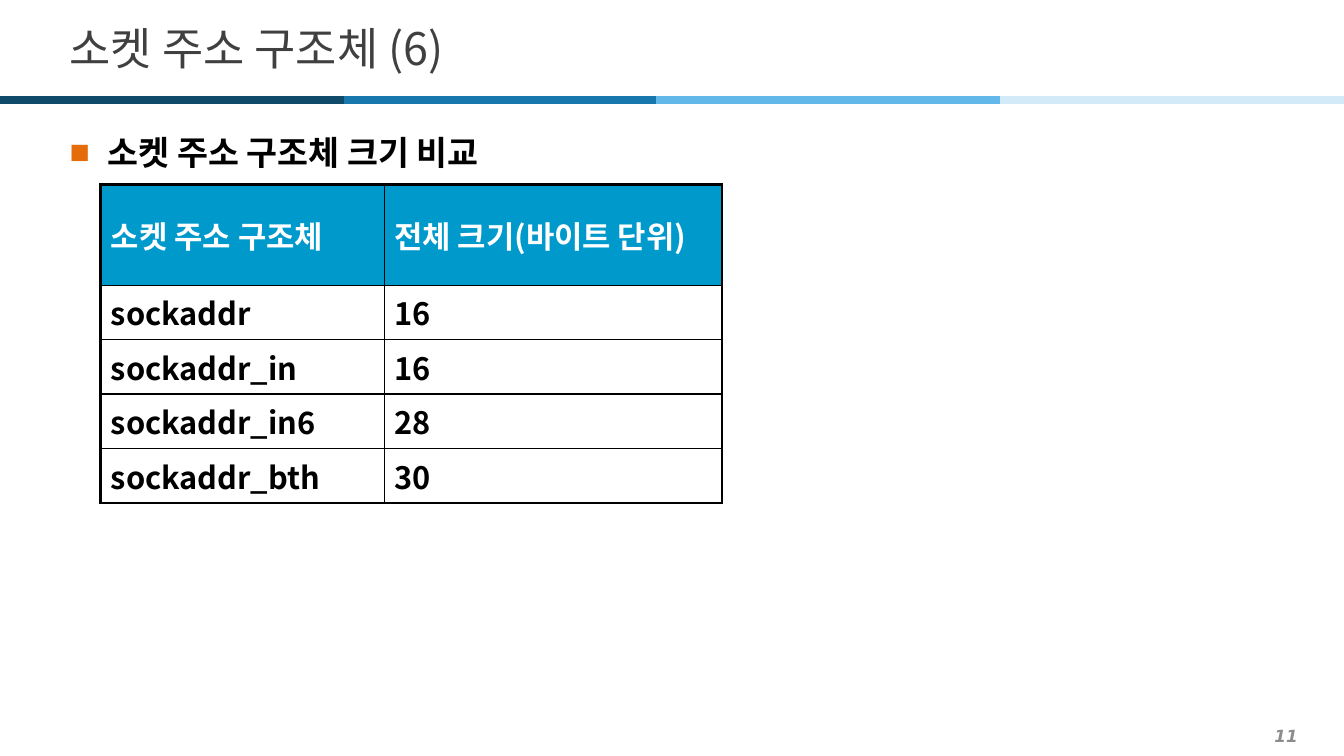
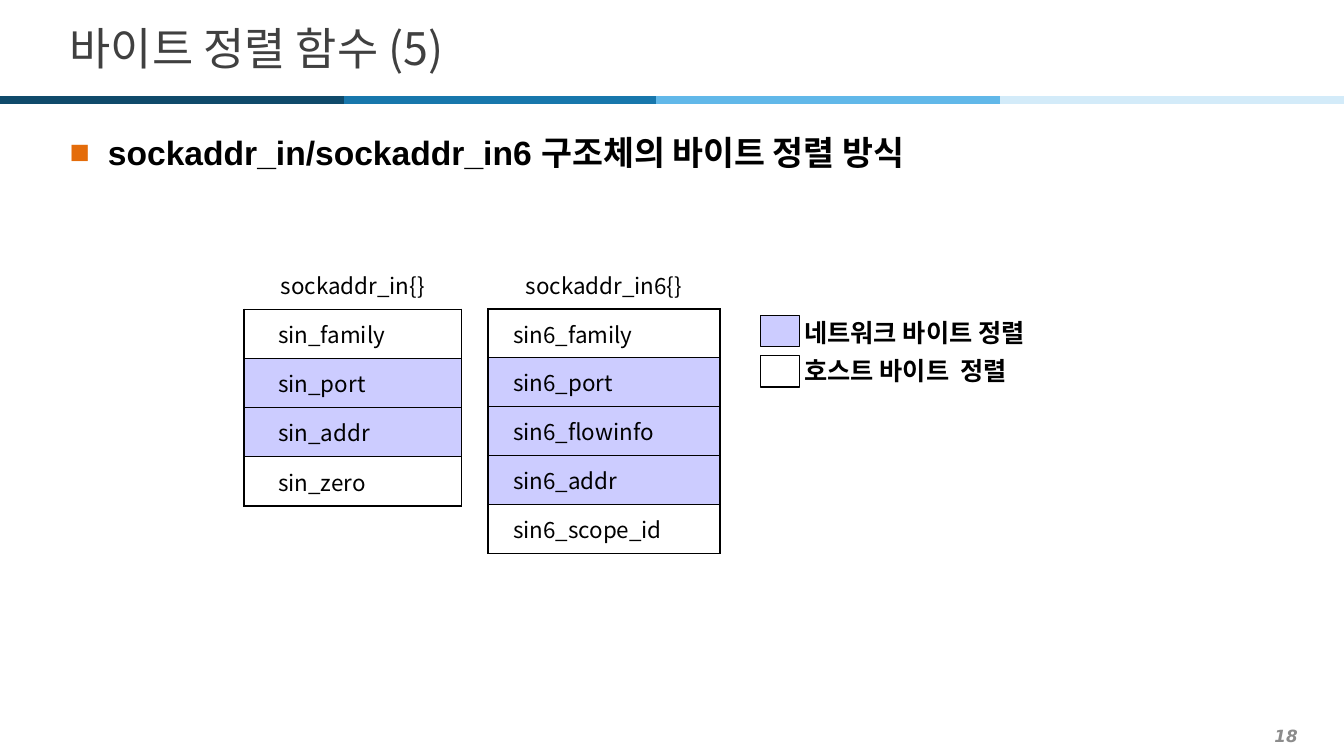
import pptx
import pptx.dml.color
import pptx.enum.shapes
import pptx.enum.text
import pptx.util
from lxml import etree
from pptx.oxml.ns import qn

Inches = pptx.util.Inches
Pt = pptx.util.Pt
RGBColor = pptx.dml.color.RGBColor
ALIGN = pptx.enum.text.PP_ALIGN
MIDDLE = pptx.enum.text.MSO_ANCHOR.MIDDLE

# Shared look
BLACK = RGBColor(0x00, 0x00, 0x00)
WHITE = RGBColor(0xFF, 0xFF, 0xFF)
TITLE_GREY = RGBColor(0x40, 0x40, 0x40)
NUMBER_GREY = RGBColor(0x8C, 0x8C, 0x8C)
BULLET_ORANGE = RGBColor(0xE4, 0x6C, 0x0A)
HEADER_BLUE = RGBColor(0x00, 0x99, 0xCC)
NETWORK_LILAC = RGBColor(0xCC, 0xCC, 0xFF)
BAND_COLORS = (
    RGBColor(0x0F, 0x4A, 0x6B),
    RGBColor(0x18, 0x77, 0xAC),
    RGBColor(0x61, 0xB8, 0xE9),
    RGBColor(0xD3, 0xEB, 0xF9),
)
BAND_EDGES = (0, 3.41, 6.51, 9.92, 13.33)
BAND_TOP = 0.99
KOREAN = "Noto Sans CJK KR"

TITLE_FORMAT = {"size": Pt(32), "name": KOREAN, "bold": False}
BODY_FORMAT = {"size": Pt(24), "name": "Arial", "bold": True}
NUMBER_FORMAT = {"size": Pt(12), "name": "DejaVu Sans", "bold": True, "italic": True}
SIZE_FORMAT = {"size": Pt(22), "name": KOREAN, "bold": True}
FIELD_FORMAT = {"size": Pt(16), "name": KOREAN, "bold": False}
LEGEND_FORMAT = {"size": Pt(18), "name": KOREAN, "bold": True}


def place(item, left, top, width, height):
    bounds = {"left": left, "top": top, "width": width, "height": height}
    for name, value in bounds.items():
        setattr(item, name, Inches(value))


def write(para, text, font_format, color, **para_format):
    """Put one formatted run into a paragraph."""
    for name, value in para_format.items():
        setattr(para, name, value)
    span = para.add_run()
    span.text = text
    for name, value in font_format.items():
        setattr(span.font, name, value)
    span.font.color.rgb = color
    east_asian = etree.Element(qn("a:ea"), typeface=KOREAN)
    span.font._element.find(qn("a:latin")).addnext(east_asian)


def add_text(page, bounds, lines, font_format, color, **para_format):
    box = page.shapes.add_textbox(*map(Inches, bounds))
    frame = box.text_frame
    frame.word_wrap = True
    frame.vertical_anchor = MIDDLE
    for index, line in enumerate(lines):
        para = frame.add_paragraph() if index else frame.paragraphs[0]
        write(para, line, font_format, color, **para_format)


def set_bullet(para):
    """Hang an orange square in front of the paragraph."""
    properties = para._p.get_or_add_pPr()
    indent = Inches(0.38)
    properties.set("marL", str(indent))
    properties.set("indent", str(-indent))
    bullet_color = etree.SubElement(properties, qn("a:buClr"))
    etree.SubElement(bullet_color, qn("a:srgbClr"), val=str(BULLET_ORANGE))
    etree.SubElement(properties, qn("a:buFont"), typeface="Arial")
    etree.SubElement(properties, qn("a:buChar"), char="■")


def add_band(page):
    for color, start, end in zip(BAND_COLORS, BAND_EDGES, BAND_EDGES[1:]):
        line = page.shapes.add_connector(
            pptx.enum.shapes.MSO_CONNECTOR.STRAIGHT,
            Inches(start), Inches(BAND_TOP), Inches(end), Inches(BAND_TOP))
        line.line.color.rgb = color
        line.line.width = Pt(6)
        etree.SubElement(line._element.spPr, qn("a:effectLst"))


def add_page(deck, title, heading, number):
    """Start a page with number, band, title and one bulleted heading."""
    page = deck.slides.add_slide(deck.slide_layouts[1])
    title_box, body_box = page.placeholders
    place(title_box, 0.59, 0.13, 12.21, 0.68)
    place(body_box, 0.59, 1.18, 12.21, 6.03)
    for box in (title_box, body_box):
        box.text_frame.auto_size = pptx.enum.text.MSO_AUTO_SIZE.NONE
    title_box.text_frame.vertical_anchor = MIDDLE
    write(title_box.text_frame.paragraphs[0], title, TITLE_FORMAT, TITLE_GREY,
          alignment=ALIGN.LEFT)
    para = body_box.text_frame.paragraphs[0]
    write(para, heading, BODY_FORMAT, BLACK,
          line_spacing=1.2, space_before=Pt(0), space_after=Pt(2))
    set_bullet(para)
    add_band(page)
    add_text(page, (0.2, 7.14, 12.77, 0.31), [number], NUMBER_FORMAT,
             NUMBER_GREY, alignment=ALIGN.RIGHT)
    return page


def set_borders(cell, left, right, top, bottom):
    """Draw the cell's edges with widths in points; 0 hides an edge."""
    properties = cell._tc.get_or_add_tcPr()
    widths = {"a:lnL": left, "a:lnR": right, "a:lnT": top, "a:lnB": bottom}
    for tag, width in widths.items():
        edge = etree.SubElement(properties, qn(tag), w=str(Pt(width)))
        if width:
            fill = etree.SubElement(edge, qn("a:solidFill"))
            etree.SubElement(fill, qn("a:srgbClr"), val=str(BLACK))
        else:
            etree.SubElement(edge, qn("a:noFill"))


def add_table(page, left, top, widths, heights):
    table = page.shapes.add_table(
        len(heights), len(widths), Inches(left), Inches(top),
        Inches(sum(widths)), Inches(sum(heights))).table
    table.first_row = table.horz_banding = False
    for column, width in zip(table.columns, widths):
        column.width = Inches(width)
    for row, height in zip(table.rows, heights):
        row.height = Inches(height)
    return table


def fill_cell(cell, text, font_format, color, fill, borders, **para_format):
    set_borders(cell, *borders)
    if fill is None:
        cell.fill.background()
    else:
        cell.fill.solid()
        cell.fill.fore_color.rgb = fill
    cell.vertical_anchor = MIDDLE
    write(cell.text_frame.paragraphs[0], text, font_format, color, **para_format)


def add_size_table(page, rows):
    """Table with a two-line blue header row and a thick outer frame."""
    thin, thick = 1, 2.25
    last_row, last_column = len(rows) - 1, len(rows[0]) - 1
    table = add_table(page, 1, 1.83, (2.81, 3.35), [1] + [0.54] * last_row)
    for r, row in enumerate(rows):
        for c, text in enumerate(row):
            outer = (c == 0, c == last_column, r == 0, r == last_row)
            borders = [thick if edge else thin for edge in outer]
            color, fill = (BLACK, None) if r else (WHITE, HEADER_BLUE)
            fill_cell(table.cell(r, c), text, SIZE_FORMAT, color, fill, borders)


def add_struct(page, left, width, height, indent, name, fields):
    """Struct name above a stack of fields; True marks network byte order."""
    row_count = len(fields) + 1
    table = add_table(page, left, 2.58, [width], [height / row_count] * row_count)
    fill_cell(table.cell(0, 0), name, FIELD_FORMAT, BLACK, None, (0, 0, 0, 1),
              alignment=ALIGN.CENTER)
    for r, (field, is_network) in enumerate(fields, 1):
        cell = table.cell(r, 0)
        fill_cell(cell, field, FIELD_FORMAT, BLACK,
                  NETWORK_LILAC if is_network else None, (1, 1, 1, 1))
        cell.margin_left = Inches(indent)


def add_legend(page, entries):
    add_text(page, (7.88, 3.06, 2.57, 0.78), [text for text, _ in entries],
             LEGEND_FORMAT, BLACK, line_spacing=1.25)
    for index, (_, fill) in enumerate(entries):
        swatch = page.shapes.add_shape(
            pptx.enum.shapes.MSO_SHAPE.RECTANGLE,
            Inches(7.54), Inches(3.13 + 0.4 * index), Inches(0.39), Inches(0.31))
        swatch.shadow.inherit = False
        swatch.line.color.rgb = BLACK
        swatch.line.width = Pt(0.75)
        if fill is None:
            swatch.fill.background()
        else:
            swatch.fill.solid()
            swatch.fill.fore_color.rgb = fill


def main():
    deck = pptx.Presentation()
    deck.slide_width, deck.slide_height = Inches(13.33), Inches(7.5)

    # Sizes of the address structures
    page = add_page(deck, "소켓 주소 구조체 (6)", "소켓 주소 구조체 크기 비교", "11")
    add_size_table(page, [
        ("소켓 주소 구조체", "전체 크기(바이트 단위)"),
        ("sockaddr", "16"),
        ("sockaddr_in", "16"),
        ("sockaddr_in6", "28"),
        ("sockaddr_bth", "30"),
    ])

    # Byte order of the structure fields
    page = add_page(deck, "바이트 정렬 함수 (5)",
                    "sockaddr_in/sockaddr_in6 구조체의 바이트 정렬 방식", "18")
    add_struct(page, 4.84, 2.3, 2.91, 0.25, "sockaddr_in6{}", [
        ("sin6_family", False),
        ("sin6_port", True),
        ("sin6_flowinfo", True),
        ("sin6_addr", True),
        ("sin6_scope_id", False),
    ])
    add_struct(page, 2.42, 2.16, 2.44, 0.34, "sockaddr_in{}", [
        ("sin_family", False),
        ("sin_port", True),
        ("sin_addr", True),
        ("sin_zero", False),
    ])
    add_legend(page, [("네트워크 바이트 정렬", NETWORK_LILAC),
                      ("호스트 바이트  정렬", None)])

    deck.save("out.pptx")


if __name__ == "__main__":
    main()
